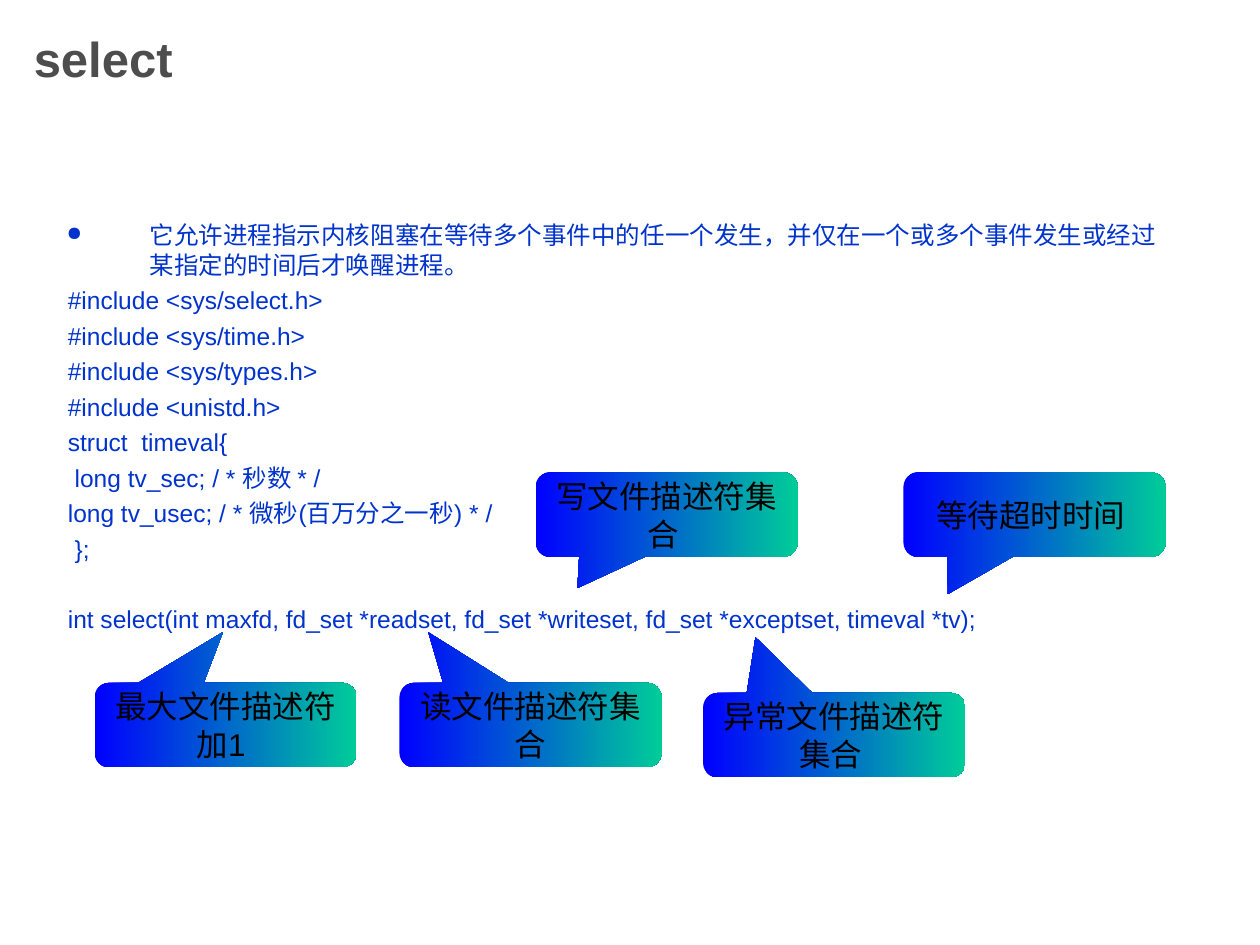
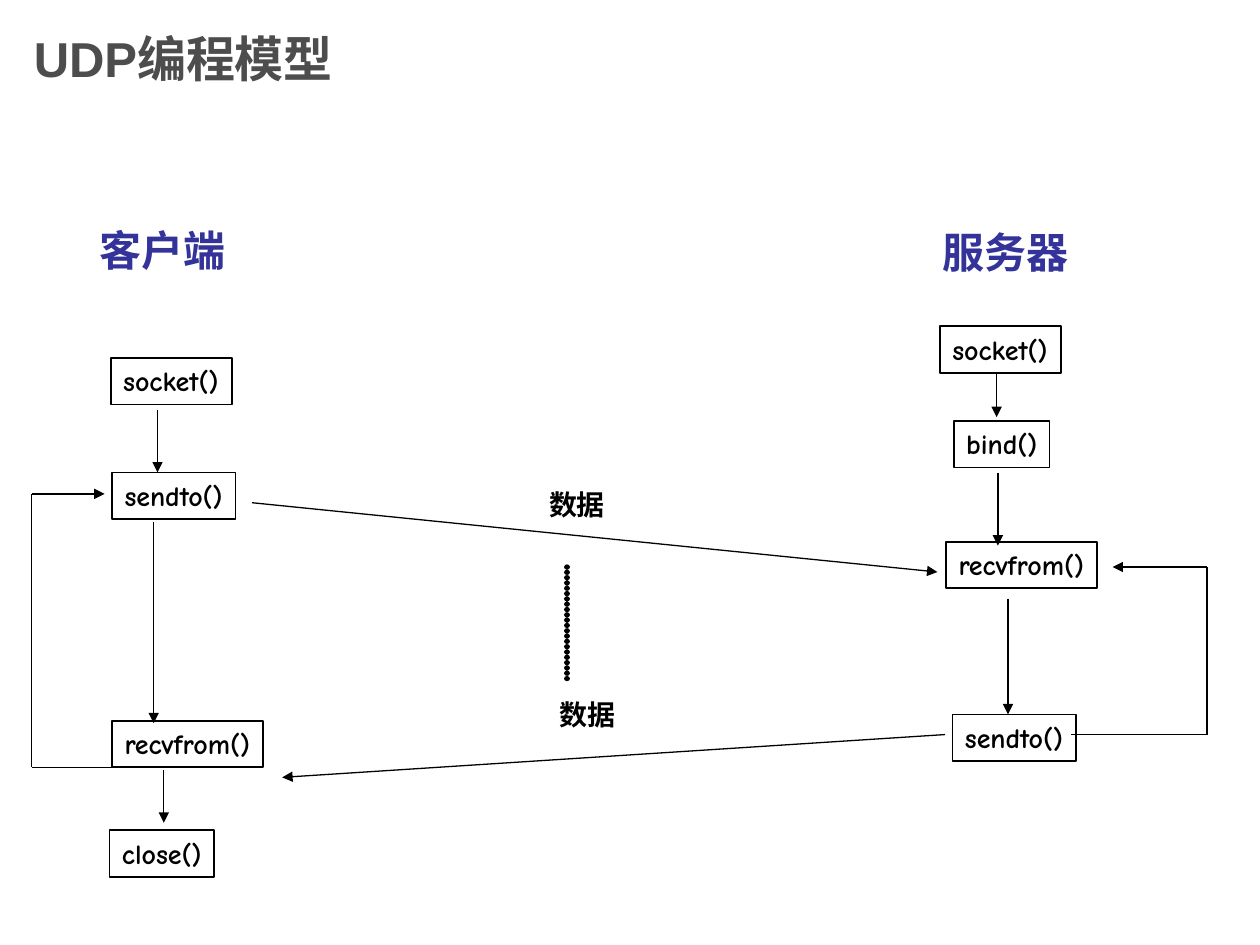
from lxml import etree
from pptx import Presentation
from pptx.dml.color import RGBColor
from pptx.enum.shapes import MSO_CONNECTOR, MSO_SHAPE
from pptx.enum.text import MSO_ANCHOR, MSO_AUTO_SIZE, PP_ALIGN
from pptx.oxml.ns import qn
from pptx.util import Inches, Pt

STRAIGHT = MSO_CONNECTOR.STRAIGHT
RECTANGLE = MSO_SHAPE.RECTANGLE
CALLOUT = MSO_SHAPE.ROUNDED_RECTANGULAR_CALLOUT
TOP, MIDDLE = MSO_ANCHOR.TOP, MSO_ANCHOR.MIDDLE
GROW = MSO_AUTO_SIZE.SHAPE_TO_FIT_TEXT
LEFT, CENTER = PP_ALIGN.LEFT, PP_ALIGN.CENTER

SANS, COMIC = "Arial", "Comic Neue"
BLACK, TITLE_GREY, BODY_BLUE = "000000", "4D4D4D", "0033CC"
HEADING_BLUE, GRADIENT_START, GRADIENT_END = "333399", "0000FF", "00CC99"
CALL_HEIGHT = 0.37
LINE_WIDTH, BOX_LINE_WIDTH, DOT_WIDTH = 0.74, 0.99, 3

INTRODUCTION = ("它允许进程指示内核阻塞在等待多个事件中的任一个发生，"
                "并仅在一个或多个事件发生或经过某指定的时间后才唤醒进程。")
CODE = [
    "#include <sys/select.h>",
    "#include <sys/time.h>",
    "#include <sys/types.h>",
    "#include <unistd.h>",
    "struct  timeval{",
    " long tv_sec; / * 秒数 * /",
    "long tv_usec; / * 微秒(百万分之一秒) * /",
    " };",
]
PROTOTYPE = ("int select(int maxfd, fd_set *readset, fd_set *writeset, "
             "fd_set *exceptset, timeval *tv);")

# Callouts: text, left, top, tip offset from the centre as shares of the size
CALLOUTS = [
    ("最大文件描述符加1 ", 0.75, 5.42, -0.01, -1.1),
    ("读文件描述符集合", 3.17, 5.42, -0.39, -1.1),
    ("写文件描述符集合 ", 4.25, 3.75, -0.34, 0.87),
    ("异常文件描述符集合 ", 5.58, 5.5, -0.3, -1.16),
    ("等待超时时间 ", 7.17, 3.75, -0.33, 0.94),
]

CALL_WIDTHS = {"socket()": 0.96, "bind()": 0.76, "sendto()": 0.98,
               "recvfrom()": 1.2, "close()": 0.83}
# Endpoints: all positions are relative to the region's corner
CLIENT = {
    "heading": ("客户端", 0.44, -0.02),
    "calls": [("socket()", 0.63, 1.09), ("sendto()", 0.64, 2),
              ("recvfrom()", 0.64, 3.97), ("close()", 0.62, 4.84)],
    "arrows": [
        [(1, 1.5), (1, 2)],
        [(0.97, 2.39), (0.97, 3.99)],
        [(1.05, 4.36), (1.05, 4.78)],
        [(0.67, 4.34), (0, 4.34), (0, 2.17), (0.58, 2.17)],
    ],
}
SERVER = {
    "heading": ("服务器", 0, 0),
    "calls": [("socket()", 0.08, 0.84), ("bind()", 0.19, 1.59),
              ("recvfrom()", 0.13, 2.55), ("sendto()", 0.18, 3.92)],
    "arrows": [
        [(0.53, 1.21), (0.53, 1.56)],
        [(0.54, 2), (0.54, 2.58)],
        [(0.62, 3), (0.62, 3.92)],
        [(1.12, 4.08), (2.2, 4.08), (2.2, 2.75), (1.45, 2.75)],
    ],
}


def color(value):
    """Turn a hex string into a colour."""
    return RGBColor.from_string(value)


def write(paragraph, text, font=SANS, size=14, fill=BLACK, bold=False,
          align=LEFT, before=0):
    """Write formatted text into a paragraph."""
    paragraph.alignment = align
    paragraph.space_before = Pt(before)
    run = paragraph.add_run()
    run.text = text
    run.font.name = font
    run.font.size = Pt(size)
    run.font.bold = bold
    run.font.color.rgb = color(fill)


def set_frame(shape, wrap=True, anchor=TOP, margin_right=0.1):
    """Set wrapping, anchor and margins, and return the text frame."""
    frame = shape.text_frame
    frame.word_wrap = wrap
    if not wrap:
        frame.auto_size = GROW
    frame.vertical_anchor = anchor
    frame.margin_left = Inches(0.1)
    frame.margin_right = Inches(margin_right)
    frame.margin_top = frame.margin_bottom = Inches(0.05)
    return frame


def add_text(slide, text, left, top, width, height, wrap=True, anchor=TOP,
             **style):
    """Add a text box with one paragraph."""
    box = slide.shapes.add_textbox(Inches(left), Inches(top),
                                   Inches(width), Inches(height))
    write(set_frame(box, wrap, anchor).paragraphs[0], text, **style)


def set_indent(paragraph, margin, hanging, bullet=None):
    """Give a paragraph a hanging indent and, if wanted, a bullet."""
    properties = paragraph._p.get_or_add_pPr()
    properties.set("marL", str(Inches(margin)))
    properties.set("indent", str(-Inches(hanging)))
    if bullet:
        bullet_color = etree.SubElement(properties, qn("a:buClr"))
        etree.SubElement(bullet_color, qn("a:srgbClr"), val=BODY_BLUE)
        etree.SubElement(properties, qn("a:buSzPct"), val="80000")
        etree.SubElement(properties, qn("a:buChar"), char=bullet)
    else:
        etree.SubElement(properties, qn("a:buNone"))


def add_line(slide, start, end, width=LINE_WIDTH, arrow=False, dotted=False):
    """Add a straight black line, with an arrowhead or close round dots."""
    line = slide.shapes.add_connector(
        STRAIGHT, *(Inches(value) for value in (*start, *end)))
    line.line.color.rgb = color(BLACK)
    line.line.width = Pt(width)
    outline = line.line._get_or_add_ln()
    if dotted:
        outline.set("cap", "rnd")
        dashes = etree.SubElement(outline, qn("a:custDash"))
        etree.SubElement(dashes, qn("a:ds"), d="100000", sp="1000")
    if arrow:
        etree.SubElement(outline, qn("a:tailEnd"), type="triangle")
    etree.SubElement(line._element.spPr, qn("a:effectLst"))


def add_route(slide, points):
    """Join points with lines and end the last one in an arrowhead."""
    for index in range(1, len(points)):
        add_line(slide, points[index - 1], points[index],
                 arrow=index == len(points) - 1)


def add_titled_slide(presentation, title):
    """Add a blank slide with the shared title style."""
    slide = presentation.slides.add_slide(presentation.slide_layouts[6])
    add_text(slide, title, 0.17, 0, 7.5, 0.92, anchor=MIDDLE, size=28,
             fill=TITLE_GREY, bold=True)
    return slide


def add_code_body(slide, left, top, width, height):
    """Add the bulleted introduction and the code below it."""
    box = slide.shapes.add_textbox(Inches(left), Inches(top),
                                   Inches(width), Inches(height))
    frame = set_frame(box)
    introduction = frame.paragraphs[0]
    write(introduction, INTRODUCTION, fill=BODY_BLUE, before=3.5)
    set_indent(introduction, 0.66, 0.66, "●")
    for text in CODE + [PROTOTYPE]:
        paragraph = frame.add_paragraph()
        before = 23.5 if text == PROTOTYPE else 3.5
        write(paragraph, text, fill=BODY_BLUE, before=before)
        set_indent(paragraph, 0.67, 0.66)


def add_callout(slide, text, left, top, tip_x, tip_y):
    """Add a gradient speech bubble that points at a parameter."""
    shape = slide.shapes.add_shape(CALLOUT, Inches(left), Inches(top),
                                   Inches(2.08), Inches(0.67))
    shape.shadow.inherit = False
    for index, value in enumerate((tip_x, tip_y, 0.17)):
        shape.adjustments[index] = value
    shape.fill.gradient()
    shape.fill.gradient_angle = 0
    for stop, value in zip(shape.fill.gradient_stops,
                           (GRADIENT_START, GRADIENT_END)):
        stop.color.rgb = color(value)
    shape.line.fill.background()
    write(set_frame(shape, anchor=MIDDLE).paragraphs[0], text, size=18,
          align=CENTER)


def add_call(slide, name, left, top):
    """Add an outlined box that names a function call."""
    shape = slide.shapes.add_shape(RECTANGLE, Inches(left), Inches(top),
                                   Inches(CALL_WIDTHS[name]),
                                   Inches(CALL_HEIGHT))
    shape.shadow.inherit = False
    shape.fill.background()
    shape.line.color.rgb = color(BLACK)
    shape.line.width = Pt(BOX_LINE_WIDTH)
    # A narrow right margin keeps the tightly fitting names on one line
    frame = set_frame(shape, wrap=False, margin_right=0.05)
    write(frame.paragraphs[0], name, font=COMIC, size=16, bold=True)


def add_endpoint(slide, endpoint, left, top):
    """Add the heading, calls and arrows of the client or the server."""
    heading, x, y = endpoint["heading"]
    add_text(slide, heading, left + x, top + y, 1.2, 0.5, wrap=False,
             font=COMIC, size=24, fill=HEADING_BLUE, bold=True)
    for name, x, y in endpoint["calls"]:
        add_call(slide, name, left + x, top + y)
    for points in endpoint["arrows"]:
        add_route(slide, [(left + x, top + y) for x, y in points])


def add_exchange(slide, left, top):
    """Add the data arrows between the endpoints, with their labels."""
    add_route(slide, [(left, top + 0.24), (left + 5.44, top + 0.79)])
    add_route(slide, [(left + 5.5, top + 2.08), (left + 0.24, top + 2.42)])
    for x, y in ((2.26, 0.07), (2.34, 1.74)):
        add_text(slide, "数据", left + x, top + y, 0.64, CALL_HEIGHT,
                 wrap=False, font=COMIC, size=16, bold=True)
    add_line(slide, (left + 2.5, top + 0.75), (left + 2.5, top + 1.67),
             width=DOT_WIDTH, dotted=True)


def build_select_slide(presentation):
    """Build the slide that explains the parameters of select."""
    slide = add_titled_slide(presentation, "select")
    add_code_body(slide, 0.43, 1.7, 9, 4.96)
    for callout in CALLOUTS:
        add_callout(slide, *callout)


def build_udp_slide(presentation):
    """Build the slide that shows the UDP client and server flows."""
    slide = add_titled_slide(presentation, "UDP编程模型")
    add_endpoint(slide, CLIENT, 0.25, 1.75)
    add_endpoint(slide, SERVER, 7.38, 1.75)
    add_exchange(slide, 2, 3.75)


def main():
    """Build and save the presentation."""
    presentation = Presentation()
    presentation.slide_width = Inches(10)
    presentation.slide_height = Inches(7.5)
    build_select_slide(presentation)
    build_udp_slide(presentation)
    presentation.save("out.pptx")


main()
